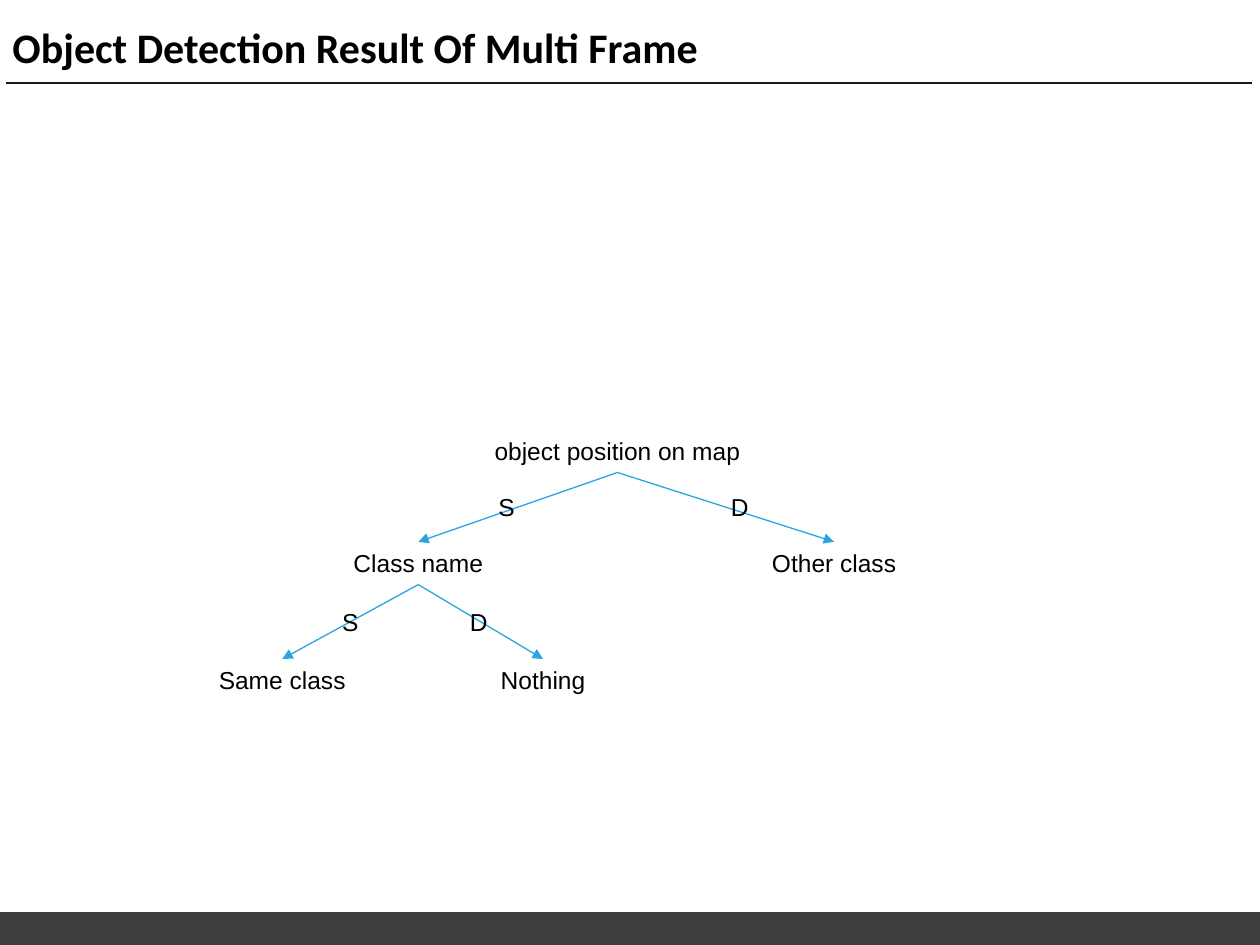
from pptx import Presentation
from pptx.dml.color import RGBColor
from pptx.enum.shapes import MSO_CONNECTOR, MSO_SHAPE
from pptx.enum.text import MSO_ANCHOR, PP_ALIGN
from pptx.oxml.ns import qn
from pptx.util import Inches, Pt
from lxml import etree

BLACK = RGBColor(0x00, 0x00, 0x00)
RULE = RGBColor(0x1A, 0x1A, 0x1A)
FOOTER = RGBColor(0x3E, 0x3E, 0x3F)
BRANCH = RGBColor(0x29, 0xA5, 0xDF)
LABEL_HEIGHT = 0.34


def add_text(text, left, top, width, height, font="Arial", size=14, align=PP_ALIGN.CENTER):
    box = slide.shapes.add_textbox(Inches(left), Inches(top), Inches(width), Inches(height))
    box.text_frame.word_wrap = True
    paragraph = box.text_frame.paragraphs[0]
    paragraph.text = text
    paragraph.alignment = align
    run_font = paragraph.runs[0].font
    run_font.name = font
    run_font.size = Pt(size)
    run_font.color.rgb = BLACK
    return box


def add_line(start, end, color, width):
    points = [Inches(value) for value in (*start, *end)]
    line = slide.shapes.add_connector(MSO_CONNECTOR.STRAIGHT, *points)
    line.line.color.rgb = color
    line.line.width = Pt(width)
    etree.SubElement(line._element.spPr, qn("a:effectLst"))
    return line


prs = Presentation()
prs.slide_width = Inches(10)
prs.slide_height = Inches(7.5)
slide = prs.slides.add_slide(prs.slide_layouts[6])

add_line((0.05, 0.66), (9.94, 0.66), RULE, 1)

footer = slide.shapes.add_shape(
    MSO_SHAPE.RECTANGLE, Inches(0), Inches(7.24), Inches(10), Inches(0.26)
)
footer.shadow.inherit = False
footer.fill.solid()
footer.fill.fore_color.rgb = FOOTER
footer.line.fill.background()

title = add_text("Object Detection Result Of Multi Frame", 0, 0.13, 7.52, 0.53,
                 "Calibri", 24, PP_ALIGN.LEFT)
title.text_frame.vertical_anchor = MSO_ANCHOR.MIDDLE
title_paragraph = title.text_frame.paragraphs[0]
title_paragraph.line_spacing = 0.9
title_paragraph.runs[0].font.bold = True

nodes = [
    ("object position on map", 4.9, 3.41, 2.15),
    ("Class name", 3.32, 4.3, 2.15),
    ("Other class", 6.62, 4.3, 2.15),
    ("Nothing", 4.31, 5.23, 1.53),
    ("Same class", 2.24, 5.23, 1.38),
]
for text, center, top, width in nodes:
    add_text(text, center - width / 2, top, width, LABEL_HEIGHT)

root, class_name = (4.9, 3.75), (3.32, 4.64)
branches = [
    (root, (3.32, 4.3), "S", 3.81, 3.86),
    (root, (6.62, 4.3), "D", 5.66, 3.86),
    (class_name, (2.24, 5.23), "S", 2.57, 4.77),
    (class_name, (4.31, 5.23), "D", 3.59, 4.77),
]
for start, end, answer, left, top in branches:
    arrow = add_line(start, end, BRANCH, 0.75)
    etree.SubElement(arrow.line._get_or_add_ln(), qn("a:tailEnd"), type="triangle")
    add_text(answer, left, top, 0.42, LABEL_HEIGHT)

prs.save("out.pptx")
